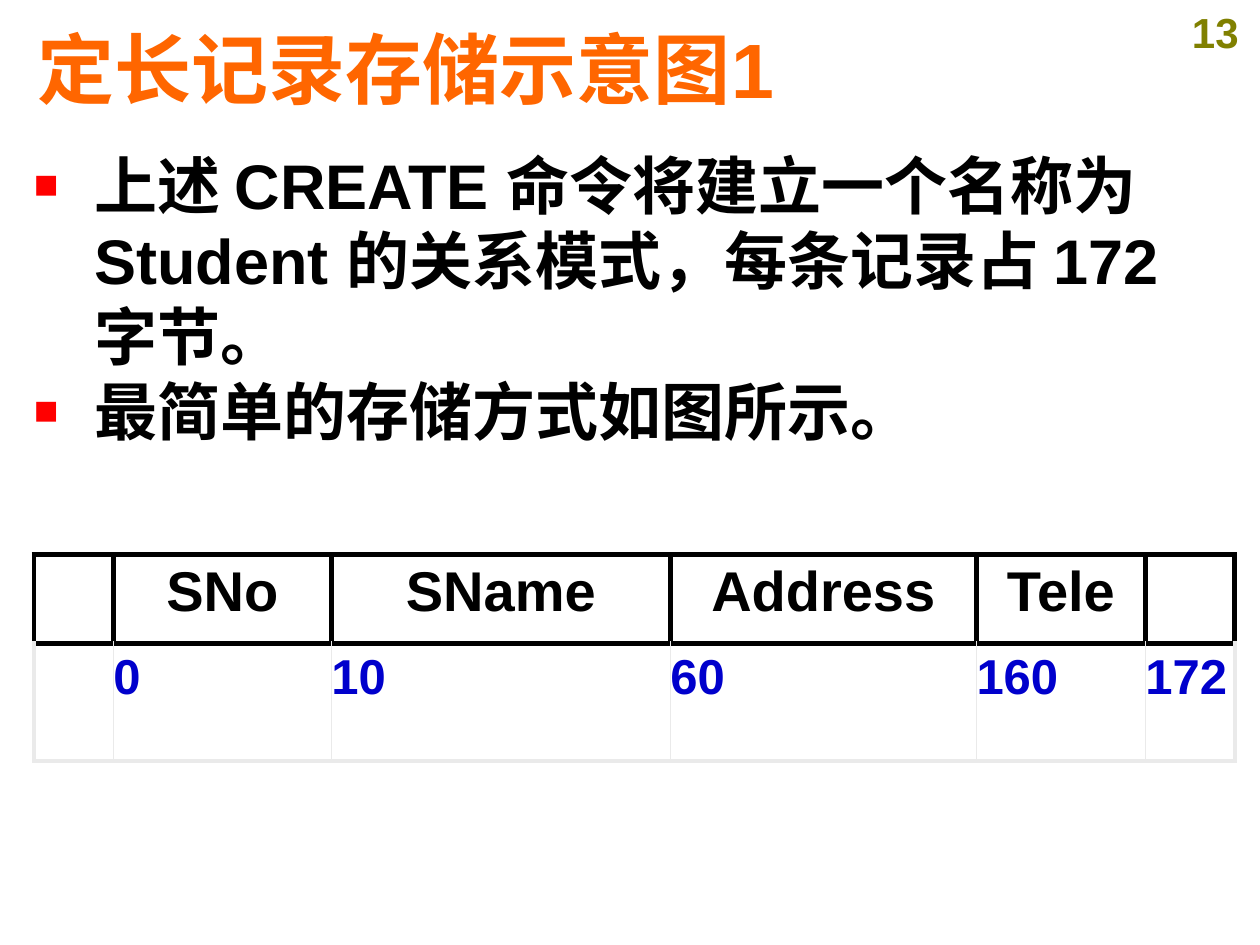
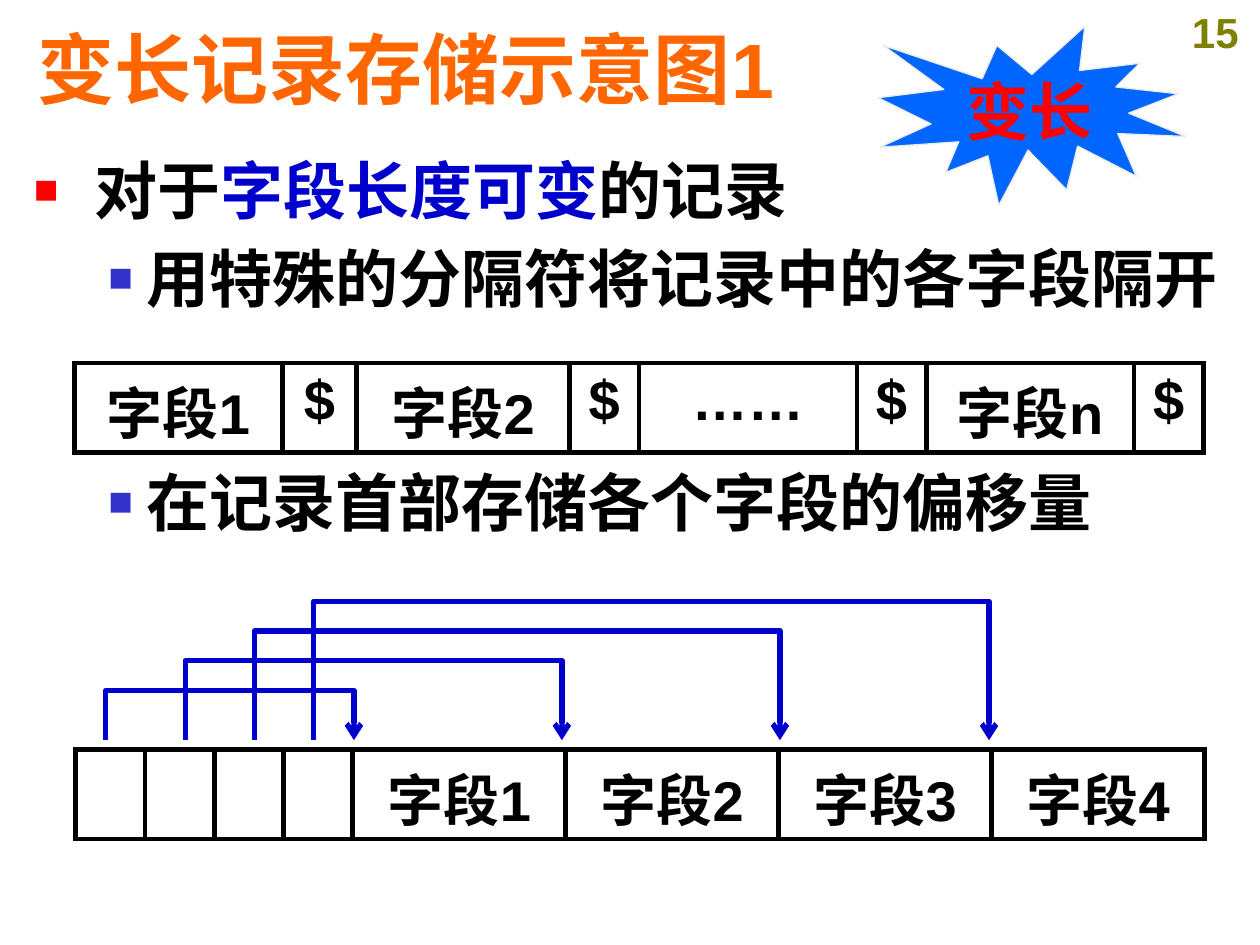
from lxml import etree
from pptx import Presentation
from pptx.dml.color import RGBColor
from pptx.enum.shapes import MSO_SHAPE
from pptx.enum.text import MSO_ANCHOR, MSO_AUTO_SIZE, PP_ALIGN
from pptx.oxml.ns import qn
from pptx.util import Pt

LEFT, CENTER = PP_ALIGN.LEFT, PP_ALIGN.CENTER
MIDDLE = MSO_ANCHOR.MIDDLE
NO_AUTOFIT = MSO_AUTO_SIZE.NONE
STARBURST = MSO_SHAPE.EXPLOSION1

SANS, SERIF = "Arial", "Times New Roman"
BLACK, BLUE, RED = "000000", "0000CC", "FF0000"
ORANGE, OLIVE, PALE, SKY = "FF6600", "808000", "EAEAEA", "0066FF"
BULLETS = [
    {"color": RED, "margin": 34.6, "indent": -34.6},
    {"color": "3333CC", "margin": 64.1, "indent": -21.6},
]
ROW_HEIGHT = 51.1


def rgb(color):
    return RGBColor.from_string(color)


def style(font, size, color, name=SANS):
    font.size = Pt(size)
    font.name = name
    font.bold = True
    font.color.rgb = rgb(color)


def write(paragraph, text, size, color, align=CENTER):
    paragraph.text = text
    paragraph.alignment = align
    for span in paragraph.runs:
        style(span.font, size, color)


def place(box, left, top, width, height):
    box.left, box.top, box.width, box.height = map(Pt, (left, top, width, height))


def add_page(deck, title, number):
    page = deck.slides.add_slide(deck.slide_layouts[1])
    box = page.shapes.title
    place(box, 14.4, 11.5, 681.8, 54.7)
    frame = box.text_frame
    frame.auto_size = NO_AUTOFIT
    frame.vertical_anchor = MIDDLE
    write(frame.paragraphs[0], title, 44, ORANGE, LEFT)
    corner = page.shapes.add_textbox(Pt(668.9), 0, Pt(51.1), Pt(36)).text_frame
    corner.word_wrap = True
    write(corner.paragraphs[0], number, 24, OLIVE)
    return page


def add_bullet(paragraph, level):
    look = BULLETS[level]
    paragraph.level = level
    properties = paragraph._p.get_or_add_pPr()
    properties.set("marL", str(Pt(look["margin"])))
    properties.set("indent", str(Pt(look["indent"])))
    tint = etree.SubElement(properties, qn("a:buClr"))
    etree.SubElement(tint, qn("a:srgbClr"), val=look["color"])
    etree.SubElement(properties, qn("a:buSzPct"), val="65000")
    etree.SubElement(properties, qn("a:buFont"), typeface=SANS)
    etree.SubElement(properties, qn("a:buChar"), char="■")


def fill_list(page, area, items, font_name):
    box = page.placeholders[1]
    place(box, *area)
    frame = box.text_frame
    frame.auto_size = NO_AUTOFIT
    for index, (level, space, spans) in enumerate(items):
        paragraph = frame.add_paragraph() if index else frame.paragraphs[0]
        add_bullet(paragraph, level)
        paragraph.space_before = Pt(space)
        paragraph.alignment = LEFT
        for text, color in spans:
            span = paragraph.add_run()
            span.text = text
            style(span.font, 36, color, font_name)


def set_borders(cell, **borders):
    properties = cell._tc.get_or_add_tcPr()
    for side in "LRTB":
        color, width = borders.get(side, (BLACK, 3))
        line = etree.SubElement(properties, qn(f"a:ln{side}"), w=str(Pt(width)))
        solid = etree.SubElement(line, qn("a:solidFill"))
        etree.SubElement(solid, qn("a:srgbClr"), val=color)


def add_grid(page, left, top, widths, heights):
    table = page.shapes.add_table(
        len(heights), len(widths), Pt(left), Pt(top), Pt(sum(widths)), Pt(sum(heights))
    ).table
    table.first_row = table.horz_banding = False
    for column, width in zip(table.columns, widths):
        column.width = Pt(width)
    for row, height in zip(table.rows, heights):
        row.height = Pt(height)
    return table


def fill_cell(cell, text, size=32, color=BLACK, align=CENTER, **borders):
    set_borders(cell, **borders)
    cell.fill.background()
    cell.margin_left = cell.margin_right = 0
    if text:
        write(cell.text_frame.paragraphs[0], text, size, color, align)


def add_record(page, left, top, widths, labels):
    table = add_grid(page, left, top, widths, [ROW_HEIGHT])
    for column, label in enumerate(labels):
        fill_cell(table.cell(0, column), label)


def add_offset_table(page):
    fields = ["", "SNo", "SName", "Address", "Tele", ""]
    offsets = ["", "0", "10", "60", "160", "172"]
    widths = [45.4, 124.6, 193.7, 175, 96.5, 51.1]
    table = add_grid(page, 19.4, 316.8, widths, [ROW_HEIGHT, 67])
    last = len(fields) - 1
    for column, (field, offset) in enumerate(zip(fields, offsets)):
        fill_cell(table.cell(0, column), field)
        fill_cell(
            table.cell(1, column), offset, 28, BLUE, LEFT,
            L=(PALE, 1 if column else 2.25),
            R=(PALE, 1 if column < last else 2.25),
            B=(PALE, 2.25),
        )


def add_burst(page, text):
    burst = page.shapes.add_shape(STARBURST, Pt(501.8), Pt(15.1), Pt(175.7), Pt(102.2))
    burst.shadow.inherit = False
    burst.fill.solid()
    burst.fill.fore_color.rgb = rgb(SKY)
    burst.line.color.rgb = rgb(PALE)
    burst.line.width = Pt(0.75)
    frame = burst.text_frame
    frame.word_wrap = False
    frame.vertical_anchor = MIDDLE
    write(frame.paragraphs[0], text, 36, RED)


def add_pointer(page, start, end, top, bottom):
    builder = page.shapes.build_freeform(Pt(start), Pt(bottom))
    corners = [(start, top), (end, top), (end, bottom)]
    builder.add_line_segments([(Pt(x), Pt(y)) for x, y in corners], close=False)
    pointer = builder.convert_to_shape()
    pointer.shadow.inherit = False
    pointer.fill.background()
    pointer.line.color.rgb = rgb(BLUE)
    pointer.line.width = Pt(3)
    etree.SubElement(pointer.line._get_or_add_ln(), qn("a:tailEnd"), type="arrow")


def build_fixed_length(deck):
    page = add_page(deck, "定长记录存储示意图1", "13")
    sentences = [
        "上述 CREATE 命令将建立一个名称为Student 的关系模式，每条记录占 172字节。",
        "最简单的存储方式如图所示。",
    ]
    items = [(0, 0, [(sentence, BLACK)]) for sentence in sentences]
    fill_list(page, (12.2, 79.9, 676.8, 431.3), items, SANS)
    add_offset_table(page)


def build_variable_length(deck):
    page = add_page(deck, "变长记录存储示意图1", "15")
    items = [
        (0, 0, [("对于", BLACK), ("字段长度可变", BLUE), ("的记录", BLACK)]),
        (1, 7.2, [("用特殊的分隔符将记录中的各字段隔开", BLACK)]),
        (1, 85, [("在记录首部存储各个字段的偏移量", BLACK)]),
    ]
    fill_list(page, (12.2, 82.8, 694.1, 411.1), items, SERIF)
    add_record(
        page, 42.5, 207.4,
        [118.8, 42.5, 121.7, 39.6, 124.6, 39.6, 118.8, 39.6],
        ["字段1", "$", "字段2", "$", "……", "$", "字段n", "$"],
    )
    add_burst(page, "变长")
    add_record(
        page, 43.2, 428.4, [39.6] * 4 + [121.7] * 4,
        [""] * 4 + [f"字段{number}" for number in range(1, 5)],
    )
    starts = [60.5, 105.8, 145.4, 179.3]
    ends = [202.3, 321.1, 445.7, 565.2]
    for index, (start, end) in enumerate(zip(starts, ends)):
        add_pointer(page, start, end, 394.6 - 17 * index, 423)


def main():
    deck = Presentation()
    deck.slide_width, deck.slide_height = Pt(720), Pt(540)
    build_fixed_length(deck)
    build_variable_length(deck)
    deck.save("out.pptx")


if __name__ == "__main__":
    main()
